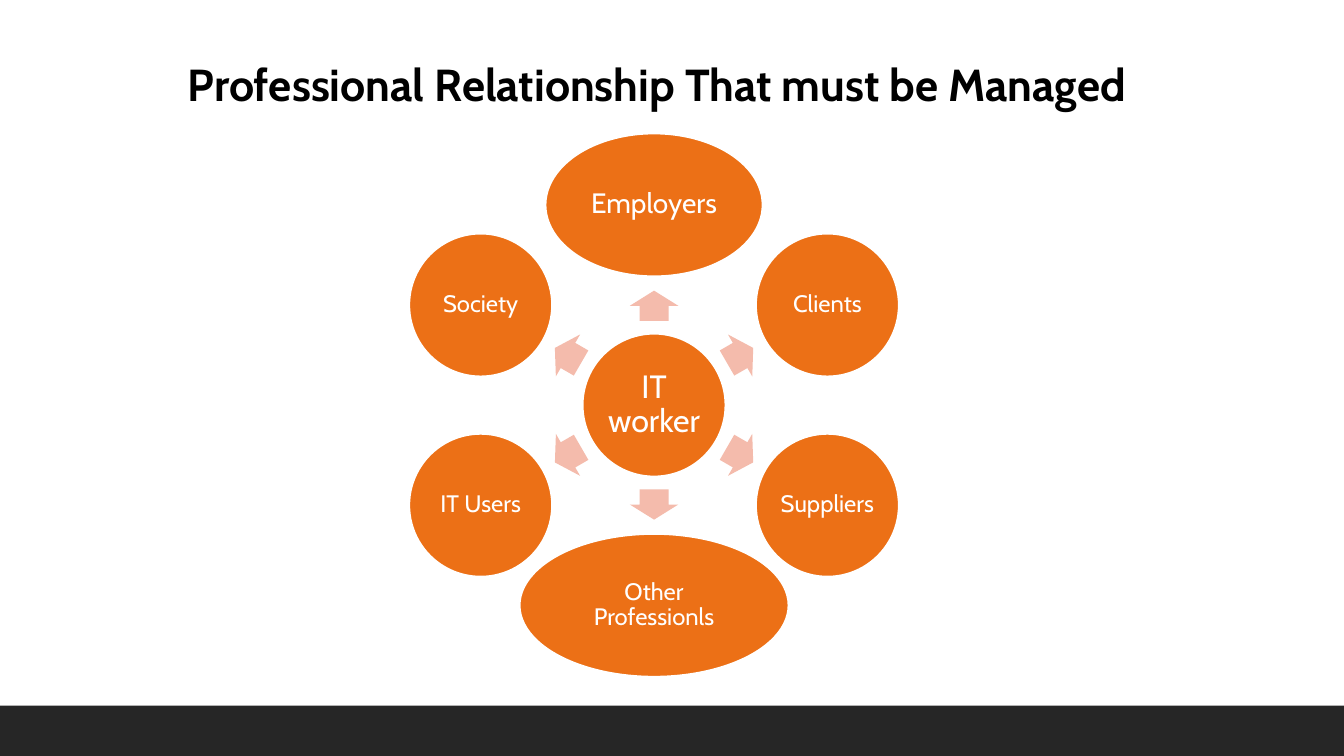
from dataclasses import dataclass
from math import cos, radians, sin

from pptx import Presentation
from pptx.dml.color import RGBColor
from pptx.enum.shapes import MSO_SHAPE
from pptx.enum.text import MSO_ANCHOR, PP_ALIGN
from pptx.shapes.autoshape import Shape
from pptx.slide import Slide
from pptx.text.text import TextFrame
from pptx.util import Pt

RECTANGLE = MSO_SHAPE.RECTANGLE
OVAL = MSO_SHAPE.OVAL
ARROW = MSO_SHAPE.RIGHT_ARROW
CENTER = PP_ALIGN.CENTER
MIDDLE = MSO_ANCHOR.MIDDLE

FONT = "Cabin"
ORANGE = "EC7016"
PINK = "F4BBAC"
WHITE = "FFFFFF"
BLACK = "000000"
CHARCOAL = "262626"

PAGE_WIDTH, PAGE_HEIGHT = 960, 540
FOOTER_HEIGHT = 36
HUB_X, HUB_Y = 467.2, 289.4
PARTY_RADIUS = 143
ARROW_RADIUS = 71
OVAL_HEIGHT = 102
ARROW_LENGTH, ARROW_BREADTH = 21.6, 34.6


@dataclass
class Party:
    label: str
    width: float = OVAL_HEIGHT
    size: float = 17


HUB = Party("IT worker", size=23)
PARTIES = [
    Party("Employers", width=155, size=20),
    Party("Clients"),
    Party("Suppliers"),
    Party("Other Professionls", width=192),
    Party("IT Users"),
    Party("Society"),
]


def color(value: str) -> RGBColor:
    return RGBColor.from_string(value)


def write(frame: TextFrame, text: str, size: float, shade: str, bold: bool = False) -> None:
    frame.word_wrap = True
    frame.text = text
    para = frame.paragraphs[0]
    para.alignment = CENTER
    font = para.runs[0].font
    font.name = FONT
    font.size = Pt(size)
    font.bold = bold
    font.color.rgb = color(shade)


def add_filled(page: Slide, kind: MSO_SHAPE, center_x: float, center_y: float,
               width: float, height: float, fill: str) -> Shape:
    shape = page.shapes.add_shape(
        kind, Pt(center_x - width / 2), Pt(center_y - height / 2), Pt(width), Pt(height))
    shape.shadow.inherit = False
    shape.fill.solid()
    shape.fill.fore_color.rgb = color(fill)
    shape.line.fill.background()
    return shape


def add_party(page: Slide, party: Party, center_x: float, center_y: float) -> None:
    oval = add_filled(page, OVAL, center_x, center_y, party.width, OVAL_HEIGHT, ORANGE)
    oval.line.color.rgb = color(WHITE)
    oval.line.width = Pt(1.25)
    frame = oval.text_frame
    frame.margin_left = frame.margin_right = Pt(2)
    frame.margin_top = frame.margin_bottom = Pt(2)
    frame.vertical_anchor = MIDDLE
    write(frame, party.label, party.size, WHITE)
    frame.paragraphs[0].line_spacing = 0.9


def add_arrow(page: Slide, center_x: float, center_y: float, angle: float) -> None:
    arrow = add_filled(page, ARROW, center_x, center_y, ARROW_LENGTH, ARROW_BREADTH, PINK)
    arrow.adjustments[0] = 0.6
    arrow.adjustments[1] = 0.5
    arrow.rotation = angle % 360


def add_title(page: Slide, text: str) -> None:
    box = page.shapes.add_textbox(Pt(29.5), Pt(36.7), Pt(887), Pt(46))
    write(box.text_frame, text, 32, BLACK, bold=True)


def main() -> None:
    deck = Presentation()
    deck.slide_width = Pt(PAGE_WIDTH)
    deck.slide_height = Pt(PAGE_HEIGHT)
    page = deck.slides.add_slide(deck.slide_layouts[6])

    add_filled(page, RECTANGLE, PAGE_WIDTH / 2, PAGE_HEIGHT - FOOTER_HEIGHT / 2,
               PAGE_WIDTH, FOOTER_HEIGHT, CHARCOAL)
    add_title(page, "Professional Relationship That must be Managed ")
    add_party(page, HUB, HUB_X, HUB_Y)

    for index, party in enumerate(PARTIES):
        angle = index * 360 / len(PARTIES) - 90
        across, down = cos(radians(angle)), sin(radians(angle))
        add_arrow(page, HUB_X + ARROW_RADIUS * across, HUB_Y + ARROW_RADIUS * down, angle)
        add_party(page, party, HUB_X + PARTY_RADIUS * across, HUB_Y + PARTY_RADIUS * down)

    deck.save("out.pptx")


if __name__ == "__main__":
    main()
